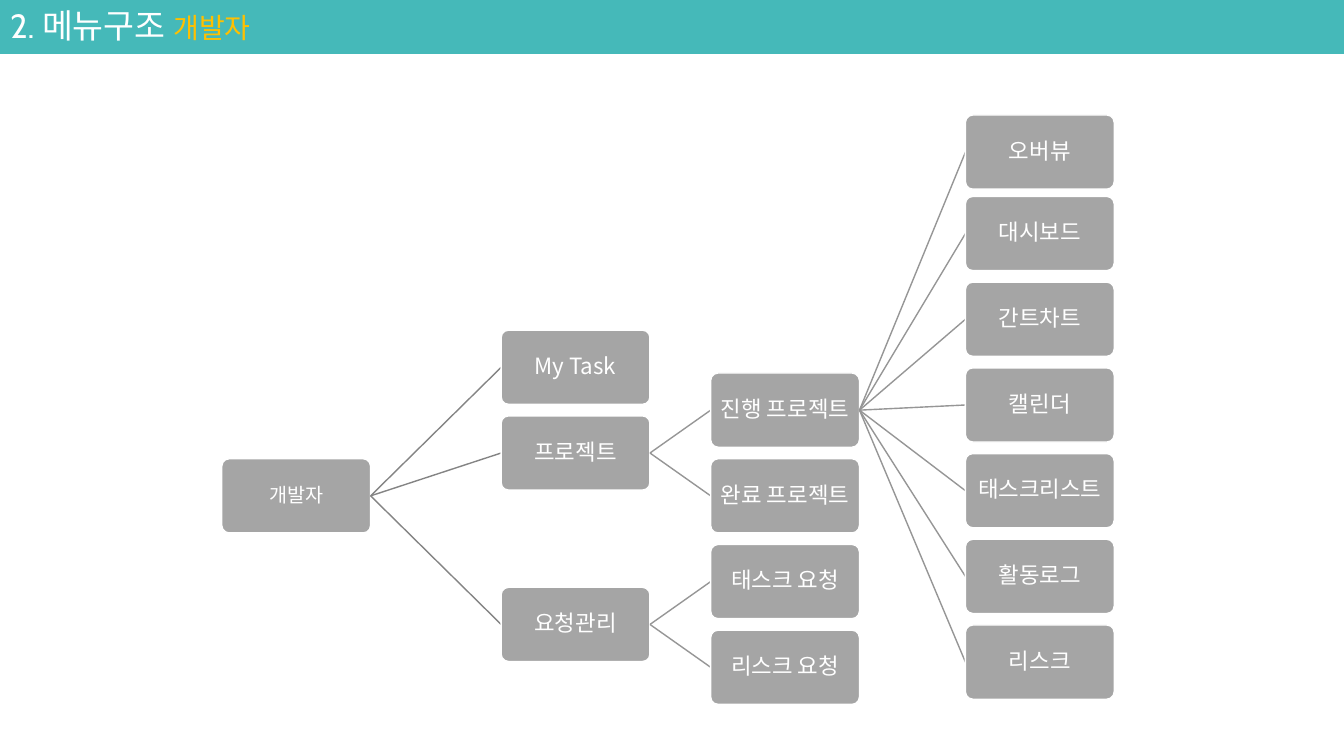
from lxml.etree import SubElement
from pptx import Presentation
from pptx.dml.color import RGBColor
from pptx.enum.shapes import MSO_CONNECTOR as CONNECTOR, MSO_SHAPE as SHAPE
from pptx.enum.text import MSO_ANCHOR as ANCHOR, MSO_AUTO_SIZE as AUTO_SIZE, PP_ALIGN as ALIGN
from pptx.oxml.ns import qn
from pptx.util import Cm, Pt

COLORS = {"teal": "45B9B9", "amber": "FFC000", "white": "FFFFFF",
          "box": "A5A5A5", "trunk": "848484", "branch": "969696"}
KOREAN_FONT = "Noto Sans CJK KR"

COLUMN_LEFTS = [5.59, 12.63, 17.91, 24.33]
BOX_WIDTH, BOX_HEIGHT = 3.75, 1.87
ROOT_TOP, ROW_PITCH = 11.56, 2.16

# label, column, row relative to the root, parent label
MENU = [
    ("개발자", 0, 0, None),
    ("My Task", 1, -1.5, "개발자"),
    ("프로젝트", 1, -0.5, "개발자"),
    ("요청관리", 1, 1.5, "개발자"),
    ("진행 프로젝트", 2, -1, "프로젝트"),
    ("완료 프로젝트", 2, 0, "프로젝트"),
    ("태스크 요청", 2, 1, "요청관리"),
    ("리스크 요청", 2, 2, "요청관리"),
    ("오버뷰", 3, -4.01, "진행 프로젝트"),
    ("대시보드", 3, -3.06, "진행 프로젝트"),
    ("간트차트", 3, -2.06, "진행 프로젝트"),
    ("캘린더", 3, -1.06, "진행 프로젝트"),
    ("태스크리스트", 3, -0.06, "진행 프로젝트"),
    ("활동로그", 3, 0.94, "진행 프로젝트"),
    ("리스크", 3, 1.94, "진행 프로젝트"),
]


def add_run(paragraph, text, size, color, latin_font):
    run = paragraph.add_run()
    run.text = text
    run.font.size = Pt(size)
    run.font.color.rgb = RGBColor.from_string(COLORS[color])
    run.font.name = latin_font
    SubElement(run.font._element, qn("a:ea"), typeface=KOREAN_FONT)


def add_filled_shape(kind, left, top, width, height, fill, line):
    shape = slide.shapes.add_shape(kind, Cm(left), Cm(top), Cm(width), Cm(height))
    shape.shadow.inherit = False
    shape.fill.solid()
    shape.fill.fore_color.rgb = RGBColor.from_string(COLORS[fill])
    shape.line.color.rgb = RGBColor.from_string(COLORS[line])
    shape.line.width = Pt(1)
    return shape


presentation = Presentation()
presentation.slide_width, presentation.slide_height = Cm(33.87), Cm(19.05)
slide = presentation.slides.add_slide(presentation.slide_layouts[5])

# Header
title = slide.shapes.title
header = add_filled_shape(SHAPE.RECTANGLE, 0, 0, 33.87, 1.35, "teal", "teal")
title._element.addprevious(header._element)
placement = {"left": Cm(0), "top": Cm(0), "width": Cm(7.72), "height": Cm(1.28)}
for name, value in placement.items():
    setattr(title, name, value)
title_format = {"word_wrap": False, "auto_size": AUTO_SIZE.NONE, "vertical_anchor": ANCHOR.TOP}
for name, value in title_format.items():
    setattr(title.text_frame, name, value)
paragraph = title.text_frame.paragraphs[0]
paragraph.alignment = ALIGN.LEFT
add_run(paragraph, "2. 메뉴구조 ", 24, "white", "Cabin")
add_run(paragraph, "개발자", 20, "amber", "Cabin")

# Menu tree
box_format = {"word_wrap": True, "vertical_anchor": ANCHOR.MIDDLE,
              "margin_left": Cm(0.03), "margin_right": Cm(0.03),
              "margin_top": Cm(0.03), "margin_bottom": Cm(0.03)}
boxes = {}
for label, column, row, parent in MENU:
    box = add_filled_shape(SHAPE.ROUNDED_RECTANGLE, COLUMN_LEFTS[column],
                           ROOT_TOP + row * ROW_PITCH, BOX_WIDTH, BOX_HEIGHT, "box", "white")
    box.adjustments[0] = 0.1
    for name, value in box_format.items():
        setattr(box.text_frame, name, value)
    paragraph = box.text_frame.paragraphs[0]
    paragraph.alignment = ALIGN.CENTER
    paragraph.line_spacing = 0.9
    add_run(paragraph, label, 16 if parent else 14, "white", KOREAN_FONT)
    boxes[label] = box

    if parent:
        link = slide.shapes.add_connector(CONNECTOR.STRAIGHT, 0, 0, 0, 0)
        link.begin_connect(boxes[parent], 3)
        link.end_connect(box, 1)
        link.line.width = Pt(1)
        link.line.color.rgb = RGBColor.from_string(COLORS["trunk" if column == 1 else "branch"])
        SubElement(link._element.spPr, qn("a:effectLst"))
        box._element.addprevious(link._element)

presentation.save("out.pptx")
